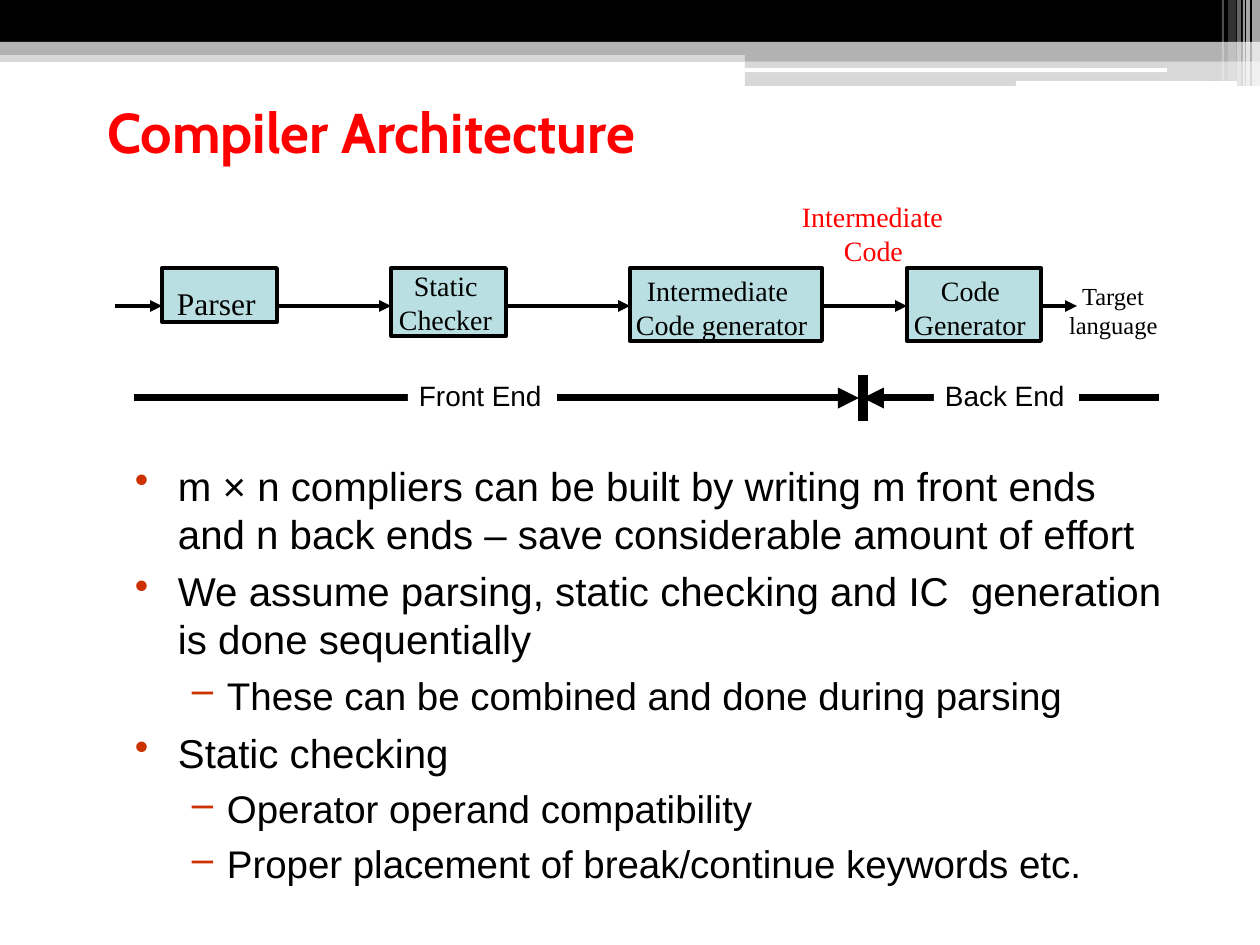
from dataclasses import dataclass

from lxml import etree
from pptx import Presentation
from pptx.dml import color
from pptx.enum import shapes, text
from pptx.oxml import ns
from pptx import util as u

PIXEL = 914400 / 126
LINE_HEIGHT = 1.2
COLORS = {
    "black": "000000", "white": "FFFFFF", "gray": "B2B2B2",
    "red": "FF0000", "box": "BADFE2", "bullet": "CD3100",
}
SERIF, SANS, TITLE = "Times New Roman", "Arial", "Cabin"


@dataclass
class Band:
    """A plain rectangle, with opacity in percent."""
    bounds: tuple[int, int, int, int]
    color: str
    opacity: int = 100
    rounded: bool = False


@dataclass
class Line:
    """One paragraph with its indents and bullet."""
    words: str
    size: int
    font: str = SERIF
    color: str = "black"
    bold: bool = False
    margin: int = 1
    indent: int = 0
    before: float = 0
    level: int = 0
    bullet: str = ""


@dataclass
class Label:
    """Text lines in a box."""
    bounds: tuple[int, int, int, int]
    lines: list[Line]
    top: int = 0
    middle: bool = False
    boxed: bool = False


@dataclass
class Arrow:
    """A straight line, with a head at its end if wanted."""
    start: tuple[int, int]
    end: tuple[int, int]
    width: float = 2.25
    head: bool = True


def px(value: float) -> u.Emu:
    """Turn pixels into EMU."""
    return u.Emu(round(value * PIXEL))


def rgb(name: str) -> color.RGBColor:
    """Look up a named colour."""
    return color.RGBColor.from_string(COLORS[name])


def sub(parent, tag: str, **attributes: str):
    """Append a drawing element."""
    element = etree.SubElement(parent, ns.qn(tag))
    for key, value in attributes.items():
        element.set(key, value)
    return element


def draw_band(slide, band: Band):
    """Draw a filled rectangle without outline."""
    kind = shapes.MSO_SHAPE.ROUNDED_RECTANGLE if band.rounded else shapes.MSO_SHAPE.RECTANGLE
    shape = slide.shapes.add_shape(kind, *map(px, band.bounds))
    shape.shadow.inherit = False
    shape.fill.solid()
    shape.fill.fore_color.rgb = rgb(band.color)
    shape.line.fill.background()
    if band.opacity < 100:
        fill = shape._element.spPr.find(ns.qn("a:solidFill"))
        sub(fill[0], "a:alpha", val=str(band.opacity * 1000))
    return shape


def write_line(paragraph, line: Line) -> None:
    """Fill one paragraph."""
    run = paragraph.add_run()
    run.text = line.words
    for key, value in {"name": line.font, "size": u.Pt(line.size), "bold": line.bold}.items():
        setattr(run.font, key, value)
    run.font.color.rgb = rgb(line.color)
    formats = {
        "alignment": text.PP_ALIGN.LEFT, "level": line.level,
        "line_spacing": u.Pt(line.size * LINE_HEIGHT), "space_before": u.Pt(line.before),
    }
    for key, value in formats.items():
        setattr(paragraph, key, value)
    properties = paragraph._p.get_or_add_pPr()
    properties.set("marL", str(px(line.margin)))
    properties.set("indent", str(px(line.indent)))
    if line.bullet:
        sub(sub(properties, "a:buClr"), "a:srgbClr", val=COLORS["bullet"])
        sub(properties, "a:buChar", char=line.bullet)


def draw_label(slide, label: Label) -> None:
    """Draw text, in an outlined box if asked."""
    if label.boxed:
        shape = draw_band(slide, Band(label.bounds, "box"))
        shape.line.color.rgb = rgb("black")
        shape.line.width = u.Pt(2.25)
    else:
        shape = slide.shapes.add_textbox(*map(px, label.bounds))
    frame = shape.text_frame
    anchor = text.MSO_ANCHOR.MIDDLE if label.middle else text.MSO_ANCHOR.TOP
    formats = {
        "word_wrap": True, "vertical_anchor": anchor, "margin_left": 0,
        "margin_right": 0, "margin_top": px(label.top), "margin_bottom": 0,
    }
    for key, value in formats.items():
        setattr(frame, key, value)
    for index, line in enumerate(label.lines):
        write_line(frame.add_paragraph() if index else frame.paragraphs[0], line)


def draw_arrow(slide, arrow: Arrow) -> None:
    """Draw a black line or arrow."""
    connector = slide.shapes.add_connector(
        shapes.MSO_CONNECTOR.STRAIGHT, *map(px, arrow.start + arrow.end))
    connector.line.color.rgb = rgb("black")
    connector.line.width = u.Pt(arrow.width)
    if arrow.head:
        sub(connector.line._get_or_add_ln(), "a:tailEnd", type="triangle")
    sub(connector._element.spPr, "a:effectLst")


def bullet(words: str, before: float = 5) -> Line:
    """Make a first-level bullet."""
    return Line(words, 23, SANS, margin=44, indent=-43, before=before, bullet="•")


def dash(words: str) -> Line:
    """Make a second-level bullet."""
    return Line(words, 22, SANS, margin=93, indent=-35, before=5, level=1, bullet="–")


HEADER = [
    Band((0, 50, 1260, 12), "gray", 50),
    Band((0, 0, 1260, 42), "black"),
    Band((0, 42, 1260, 13), "gray"),
    Band((745, 49, 515, 12), "gray"),
    Band((745, 61, 515, 25), "gray", 50),
    Band((745, 68, 422, 4), "white", rounded=True),
    Band((1016, 81, 221, 5), "white", rounded=True),
] + [Band((left, 0, width, height), "white", opacity) for left, width, height, opacity in [
    (1252, 8, 86, 65), (1246, 4, 86, 65), (1243, 2, 86, 60),
    (1237, 4, 86, 40), (1228, 8, 81, 20), (1222, 2, 81, 30)]]

STAGES = [
    Label((162, 268, 115, 54), [Line("Parser", 18, margin=15)], 16, boxed=True),
    Label((391, 268, 115, 68), [Line("Static Checker", 16, margin=8, indent=15)], 1, boxed=True),
    Label((630, 268, 192, 73), [Line("Intermediate Code generator", 16, margin=6, indent=11)],
          6, boxed=True),
    Label((907, 268, 134, 73), [Line("Code Generator", 16, margin=7, indent=27)], 6, boxed=True),
]
LABELS = [
    Label((106, 97, 1050, 68), [Line("Compiler Architecture", 32, TITLE, "red", True)],
          middle=True),
    Label((801, 199, 149, 69),
          [Line("Intermediate Code", 16, color="red", margin=43, indent=-42)], 1),
    Label((1068, 281, 96, 59), [Line("Target language", 14, margin=1, indent=13)]),
    Label((134, 461, 1032, 426), [
        bullet("m × n compliers can be built by writing m front ends and n back ends"
               " – save considerable amount of effort", 0),
        bullet("We assume parsing, static checking and IC  generation is done sequentially"),
        dash("These can be combined and done during parsing"),
        bullet("Static checking", 5.8),
        dash("Operator operand compatibility"),
        dash("Proper placement of break/continue keywords etc."),
    ]),
]
FLOW_Y, SPAN_Y = 306, 398
ARROWS = [Arrow((start, FLOW_Y), (end, FLOW_Y)) for start, end in [
    (115, 162), (277, 391), (506, 630), (822, 907), (1039, 1077)]] + [
    Arrow((134, SPAN_Y), (859, SPAN_Y), 4),
    Arrow((1159, SPAN_Y), (863, SPAN_Y), 4),
    Arrow((863, 375), (863, 421), 6, head=False),
]
SPANS = [("Front End", 408, 149), ("Back End", 934, 145)]


def main() -> None:
    """Build the slide and save it."""
    presentation = Presentation()
    presentation.slide_width, presentation.slide_height = px(1260), px(945)
    slide = presentation.slides.add_slide(presentation.slide_layouts[6])
    for band in HEADER:
        draw_band(slide, band)
    for label in STAGES + LABELS:
        draw_label(slide, label)
    for arrow in ARROWS:
        draw_arrow(slide, arrow)
    for words, left, width in SPANS:
        draw_band(slide, Band((left, 375, width, 45), "white"))
        draw_label(slide, Label((left + 10, 379, width - 20, 34), [Line(words, 16, SANS)]))
    presentation.save("out.pptx")


main()
